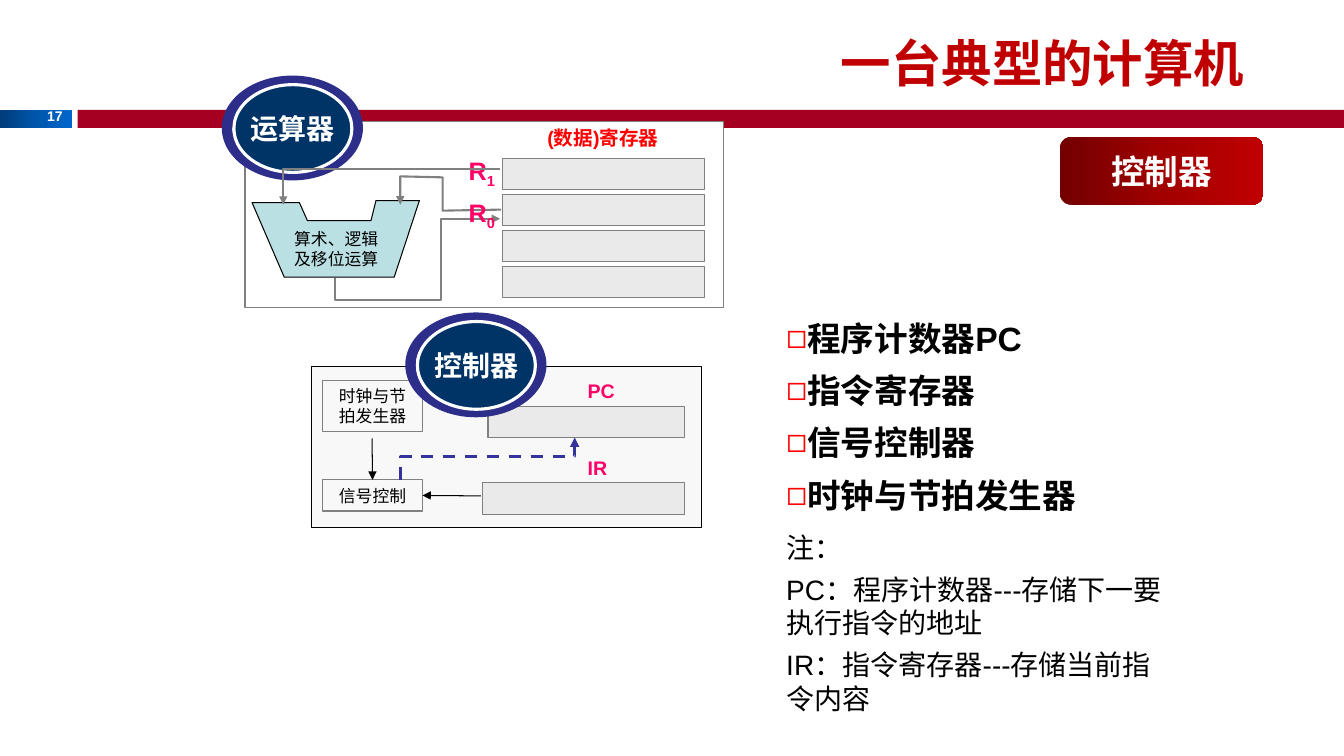
"""Build the slide on the controller of a typical computer."""
from copy import deepcopy
from dataclasses import dataclass

from lxml.etree import SubElement
from pptx import Presentation
from pptx.dml.color import RGBColor
from pptx.enum.dml import MSO_LINE
from pptx.enum.shapes import MSO_CONNECTOR, MSO_SHAPE
from pptx.enum.text import MSO_ANCHOR, MSO_AUTO_SIZE, PP_ALIGN
from pptx.oxml.ns import qn
from pptx.shapes.autoshape import Shape
from pptx.shapes.base import BaseShape
from pptx.shapes.shapetree import SlideShapes
from pptx.text.text import TextFrame, _Paragraph
from pptx.util import Inches, Pt


@dataclass(frozen=True)
class Theme:
    """Colours, fonts and type sizes."""
    latin: str = "Arial"
    hans: str = "Noto Sans CJK SC"
    white: str = "FFFFFF"
    black: str = "000000"
    grey: str = "808080"
    pale: str = "F8F8F8"
    cell: str = "EAEAEA"
    bar: str = "A50021"
    title: str = "C00000"
    red: str = "FF0000"
    pink: str = "FF0066"
    teal: str = "BBE0E3"
    ring: str = "2D2D8A"
    navy: str = "003366"
    dash: str = "333399"
    blues: tuple[str, ...] = ("003C79", "0056AC", "0066CC")
    reds: tuple[str, ...] = ("720000", "A20000", "C00000")
    tiny: int = 10
    small: int = 12
    label: int = 14
    code: int = 18
    note: int = 20
    large: int = 24
    huge: int = 36


T = Theme()
Spot = tuple[float, float]
Area = tuple[float, float, float, float]


@dataclass(frozen=True)
class Style:
    """Look of a run of text."""
    size: int
    color: str
    bold: bool = True
    font: str = T.latin
    align: PP_ALIGN = PP_ALIGN.LEFT


@dataclass(frozen=True)
class Box:
    """Plain rectangle."""
    area: Area
    fill: str | None = T.cell
    line: str | None = T.grey
    text: str = ""


@dataclass(frozen=True)
class Label:
    """Free text with an optional subscript."""
    area: Area
    text: str
    style: Style
    sub: str = ""
    wrap: bool = False


@dataclass(frozen=True)
class Wire:
    """Bent arrow."""
    spots: tuple[Spot, ...]
    color: str = T.grey
    width: float = 1.5
    dash: bool = False


@dataclass(frozen=True)
class Badge:
    """Ringed oval with a name."""
    left: float
    top: float
    text: str


TITLE = Style(T.huge, T.title, font=T.hans, align=PP_ALIGN.RIGHT)
LIST = Style(T.large, T.black)
NOTE = Style(T.note, T.black, bold=False)
SMALL = Style(T.small, T.black, bold=False)
CENTER = Style(T.small, T.black, bold=False, align=PP_ALIGN.CENTER)
OVAL = Style(T.note, T.white, font=T.hans, align=PP_ALIGN.CENTER)
BUTTON = Style(T.large, T.white, font=T.hans, align=PP_ALIGN.CENTER)
NAME = Style(T.label, T.pink)
CODE = Style(T.code, T.pink)
HEAD = Style(T.label, T.red)
PAGE = Style(T.tiny, T.white, align=PP_ALIGN.RIGHT)

CLOCK = Box((3.2, 3.77, 0.99, 0.51), None, text="时钟与节拍发生器")
SIGNAL = Box((3.2, 4.76, 0.99, 0.31), None, text="信号控制")
PANELS = (
    Box((0.77, 1.09, 12.56, 0.18), T.bar, None),
    Box((2.43, 1.21, 4.75, 1.84), T.white),
    Box((3.09, 3.64, 3.87, 1.59), T.pale, T.black),
)
CELLS = (
    Box((4.84, 4.03, 1.95, 0.31)),
    Box((4.79, 4.79, 2, 0.31)),
    *(Box((4.98, 1.57 + 0.357 * row, 2.01, 0.31)) for row in range(4)),
)
WIRES = (
    Wire(((4.97, 2.08), (4.39, 2.09), (4.39, 1.76), (3.97, 1.75), (3.97, 2.03))),
    Wire(((3.97, 4.76), (3.97, 4.53), (5.7, 4.53), (5.7, 4.34)), T.dash, 2.25, True),
    Wire(((3.32, 2.76), (3.32, 2.98), (4.37, 2.98), (4.37, 2.17), (4.96, 2.17))),
)
TOPWIRE = Wire(((4.96, 1.68), (2.81, 1.68), (2.81, 2.03)))
FUNNEL = ((2.97, 2.01), (2.5, 2.01), (2.82, 2.75), (3.91, 2.75),
          (4.16, 1.99), (3.73, 1.99), (3.68, 2.19), (3.05, 2.19))
LABELS = (
    Label((0.35, 1.02, 0.37, 0.27), "17", PAGE),
    Label((5.73, 3.71, 0.47, 0.33), "PC", NAME),
    Label((5.73, 4.47, 0.4, 0.33), "IR", NAME),
    Label((4.55, 1.91, 0.47, 0.4), "R", CODE, "0"),
    Label((4.55, 1.49, 0.47, 0.4), "R", CODE, "1"),
    Label((5.33, 1.2, 1.46, 0.33), "(数据)寄存器", HEAD, wrap=True),
    Label((2.82, 2.22, 1.06, 0.5), "算术、逻辑及移位运算", SMALL, wrap=True),
    Label((7.7, 5.21, 3.93, 1.99),
          "注：\nPC：程序计数器---存储下一要执行指令的地址\nIR：指令寄存器---存储当前指令内容",
          NOTE, wrap=True),
)
BADGES = (Badge(4.02, 3.1, "控制器"), Badge(2.2, 0.75, "运算器"))
ITEMS = "程序计数器PC\n指令寄存器\n信号控制器\n时钟与节拍发生器"


def place(shape: BaseShape, area: Area) -> None:
    """Move and size a shape."""
    shape.left, shape.top, shape.width, shape.height = map(Inches, area)


def format(para: _Paragraph, style: Style) -> None:
    """Style every run of a paragraph."""
    para.alignment = style.align
    for run in para.runs:
        font = run.font
        font.size, font.bold, font.name = Pt(style.size), style.bold, style.font
        font.color.rgb = RGBColor.from_string(style.color)
        if style.font == T.hans:
            SubElement(run._r.get_or_add_rPr(), qn("a:ea"), typeface=T.hans)


def write(frame: TextFrame, text: str, style: Style) -> None:
    """Fill a frame with styled text."""
    frame.text = text
    for para in frame.paragraphs:
        format(para, style)


def paint(shape: Shape, fill: str | None, line: str | None, width: float = 0.75) -> None:
    """Set fill and outline and drop the shadow."""
    shape.shadow.inherit = False
    if fill:
        shape.fill.solid()
        shape.fill.fore_color.rgb = RGBColor.from_string(fill)
    else:
        shape.fill.background()
    if line:
        shape.line.color.rgb = RGBColor.from_string(line)
        shape.line.width = Pt(width)
    else:
        shape.line.fill.background()


def blend(shape: Shape, colors: tuple[str, ...]) -> None:
    """Fill a shape with an even three-stop gradient."""
    paint(shape, None, None)
    shape.fill.gradient()
    shape.fill.gradient_angle = 0
    stops = shape._element.spPr.find(".//" + qn("a:gsLst"))
    stops.insert(1, deepcopy(stops[0]))
    for rank, (stop, color) in enumerate(zip(shape.fill.gradient_stops, colors)):
        stop.position = rank / 2
        stop.color.rgb = RGBColor.from_string(color)


def solid(shapes: SlideShapes, kind: MSO_SHAPE, area: Area) -> Shape:
    """Add a preset shape."""
    return shapes.add_shape(kind, *map(Inches, area))


def block(shapes: SlideShapes, box: Box) -> Shape:
    """Draw a rectangle."""
    shape = solid(shapes, MSO_SHAPE.RECTANGLE, box.area)
    paint(shape, box.fill, box.line)
    if box.text:
        shape.text_frame.word_wrap = True
        write(shape.text_frame, box.text, CENTER)
    return shape


def trace(shapes: SlideShapes, spots: tuple[Spot, ...], close: bool) -> Shape:
    """Draw an outline through the spots."""
    first, *rest = [(Inches(x), Inches(y)) for x, y in spots]
    pen = shapes.build_freeform(*first)
    pen.add_line_segments(rest, close=close)
    return pen.convert_to_shape()


def tip(shape: BaseShape) -> None:
    """Put an arrowhead at the end of a line."""
    SubElement(shape.line._get_or_add_ln(), qn("a:tailEnd"), type="triangle")


def bend(shapes: SlideShapes, wire: Wire) -> None:
    """Draw a bent arrow."""
    shape = trace(shapes, wire.spots, False)
    paint(shape, None, wire.color, wire.width)
    if wire.dash:
        shape.line.dash_style = MSO_LINE.DASH
    tip(shape)


def link(shapes: SlideShapes, start: Spot, goal: Shape, side: int) -> None:
    """Draw a straight arrow that ends on a box side."""
    x, y = map(Inches, start)
    line = shapes.add_connector(MSO_CONNECTOR.STRAIGHT, x, y, x, y)
    line.end_connect(goal, side)
    line.line.color.rgb = RGBColor.from_string(T.black)
    line.line.width = Pt(0.75)
    tip(line)
    SubElement(line._element.spPr, qn("a:effectLst"))


def mark(shapes: SlideShapes, label: Label) -> None:
    """Write a label."""
    frame = shapes.add_textbox(*map(Inches, label.area)).text_frame
    frame.word_wrap = label.wrap
    frame.auto_size = MSO_AUTO_SIZE.SHAPE_TO_FIT_TEXT
    frame.text = label.text
    if label.sub:
        run = frame.paragraphs[0].add_run()
        run.text = label.sub
        run._r.get_or_add_rPr().set("baseline", "-25000")
    for rank, para in enumerate(frame.paragraphs):
        format(para, label.style)
        if rank:
            para.space_before = Pt(6)


def stamp(shapes: SlideShapes, badge: Badge) -> None:
    """Draw a ringed oval."""
    ring = solid(shapes, MSO_SHAPE.DONUT, (badge.left, badge.top, 1.4, 1.04))
    ring.adjustments[0] = 0.1
    paint(ring, T.ring, None)
    oval = solid(shapes, MSO_SHAPE.OVAL, (badge.left + 0.12, badge.top + 0.09, 1.17, 0.87))
    paint(oval, T.navy, T.white, 2.25)
    oval.text_frame.word_wrap = False
    write(oval.text_frame, badge.text, OVAL)


def fill(shapes: SlideShapes) -> None:
    """Fill the title and list placeholders."""
    title, body = shapes.title, shapes.placeholders[1] if hasattr(shapes, "placeholders") else shapes[1]
    place(title, (0.77, 0.2, 11.67, 0.83))
    title.text_frame.vertical_anchor = MSO_ANCHOR.MIDDLE
    write(title.text_frame, "一台典型的计算机", TITLE)
    place(body, (7.7, 2.98, 3.21, 2.2))
    frame = body.text_frame
    frame.word_wrap = False
    frame.auto_size = MSO_AUTO_SIZE.SHAPE_TO_FIT_TEXT
    write(frame, ITEMS, LIST)
    for para in frame.paragraphs:
        para.line_spacing, para.space_before = 1.3, Pt(0)
        props = para._p.get_or_add_pPr()
        props.set("marL", "0")
        props.set("indent", "0")
        SubElement(SubElement(props, qn("a:buClr")), qn("a:srgbClr"), val=T.red)
        SubElement(props, qn("a:buChar"), char="◻")


def main() -> None:
    """Build and save the deck."""
    deck = Presentation()
    deck.slide_width, deck.slide_height = Inches(13.33), Inches(7.5)
    shapes = deck.slides.add_slide(deck.slide_layouts[1]).shapes
    fill(shapes)
    blend(solid(shapes, MSO_SHAPE.RECTANGLE, (0, 1.09, 0.71, 0.18)), T.blues)
    for box in (*PANELS, CLOCK, *CELLS):
        block(shapes, box)
    signal = block(shapes, SIGNAL)
    link(shapes, (4.77, 4.92), signal, 3)
    link(shapes, (3.69, 4.35), signal, 0)
    paint(trace(shapes, FUNNEL, True), T.teal, T.black)
    for wire in WIRES:
        bend(shapes, wire)
    for label in LABELS:
        mark(shapes, label)
    for badge in BADGES:
        stamp(shapes, badge)
    bend(shapes, TOPWIRE)
    button = solid(shapes, MSO_SHAPE.ROUNDED_RECTANGLE, (10.51, 1.36, 2.02, 0.67))
    blend(button, T.reds)
    write(button.text_frame, "控制器", BUTTON)
    deck.save("out.pptx")


if __name__ == "__main__":
    main()
